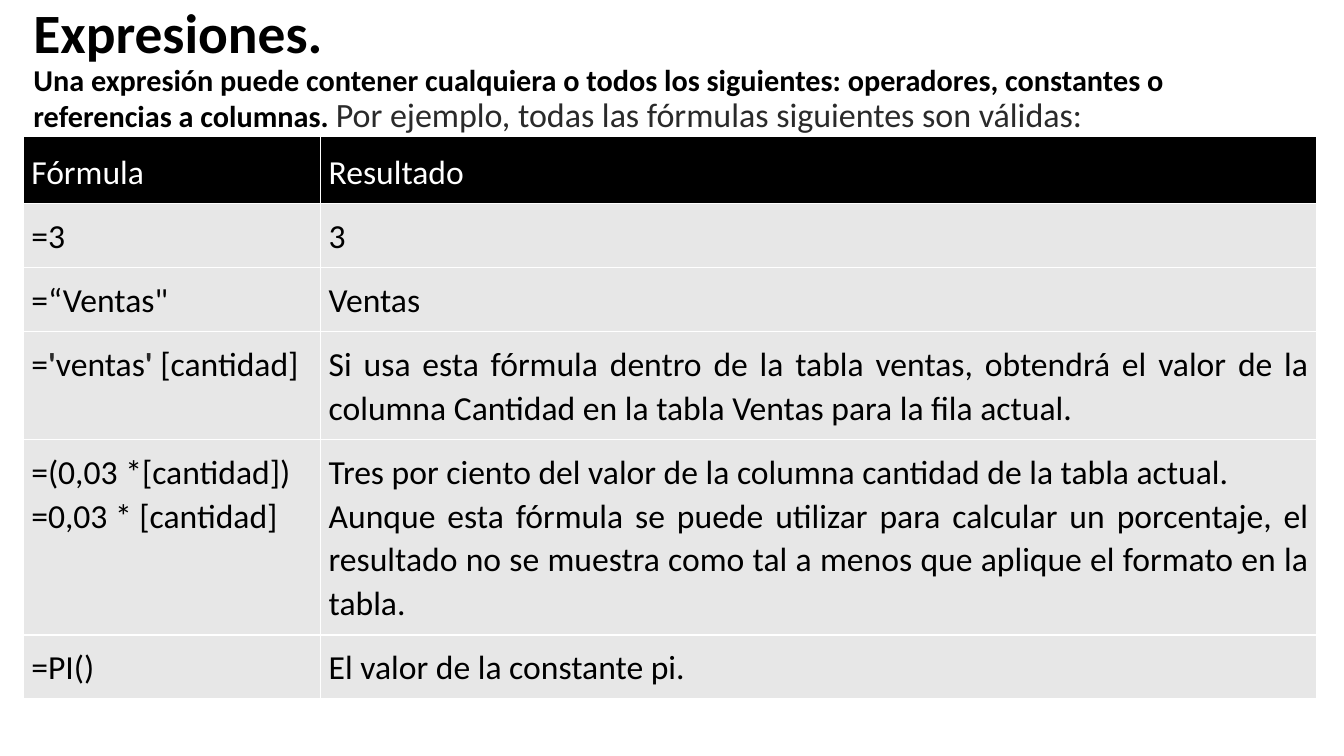
from dataclasses import dataclass

from pptx import Presentation
from pptx.dml.color import RGBColor as Color
from pptx.enum.text import MSO_ANCHOR as Anchor, PP_ALIGN as Align
from pptx.util import Inches, Pt


@dataclass(frozen=True)
class Theme:
    font: str = "Calibri"
    ink: str = "000000"
    soft_ink: str = "2A2A2A"
    paper: str = "FFFFFF"
    cell_fill: str = "E7E7E7"
    title_size: float = 39.6
    lead_size: float = 21.6
    example_size: float = 24.3
    table_size: float = 24


def apply(target, formats):
    for name, value in formats.items():
        setattr(target, name, value)


class SlideBuilder:
    """Holds the theme and the slide; lengths are percentages of the slide."""

    def __init__(self, presentation, theme):
        self.presentation = presentation
        self.theme = theme
        self.slide = presentation.slides.add_slide(presentation.slide_layouts[5])

    def across(self, share):
        return round(self.presentation.slide_width * share / 100)

    def down(self, share):
        return round(self.presentation.slide_height * share / 100)

    def frame(self, left, top, width, height):
        return self.across(left), self.down(top), self.across(width), self.down(height)

    def run(self, paragraph, text, size, color, bold=False):
        run = paragraph.add_run()
        run.text = text
        apply(run.font, {"name": self.theme.font, "size": Pt(size), "bold": bold})
        run.font.color.rgb = Color.from_string(color)

    def title(self, box, lines):
        shape = self.slide.shapes.title
        apply(shape, dict(zip(("left", "top", "width", "height"), self.frame(*box))))
        apply(shape.text_frame, {"word_wrap": True, "margin_top": 0,
                                 "vertical_anchor": Anchor.TOP})
        paragraph = shape.text_frame.paragraphs[0]
        apply(paragraph, {"alignment": Align.LEFT, "line_spacing": 0.9})
        for index, line in enumerate(lines):
            if index:
                paragraph.add_line_break()
            for run in line:
                self.run(paragraph, *run)

    def cell(self, cell, content, is_header):
        theme = self.theme
        apply(cell, {"margin_left": Inches(0.08), "margin_right": Inches(0.08),
                     "margin_top": Inches(0.1), "margin_bottom": Inches(0.1),
                     "vertical_anchor": Anchor.MIDDLE if is_header else Anchor.TOP})
        cell.fill.solid()
        cell.fill.fore_color.rgb = Color.from_string(
            theme.ink if is_header else theme.cell_fill)
        for index, runs in enumerate(content):
            frame = cell.text_frame
            paragraph = frame.add_paragraph() if index else frame.paragraphs[0]
            apply(paragraph, {"alignment": Align.JUSTIFY,
                              "line_spacing": 1.15 if is_header else 1.07})
            for text, bold in runs:
                color = theme.paper if is_header else theme.soft_ink if bold else theme.ink
                self.run(paragraph, text, theme.table_size, color, bold)

    def table(self, left, top, widths, heights, rows):
        box = self.frame(left, top, sum(widths), sum(heights))
        table = self.slide.shapes.add_table(len(rows), len(widths), *box).table
        table.horz_banding = False
        for column, width in zip(table.columns, widths):
            column.width = self.across(width)
        for row_index, (row, height) in enumerate(zip(table.rows, heights)):
            row.height = self.down(height)
            for cell, content in zip(row.cells, rows[row_index]):
                self.cell(cell, content, row_index == 0)


def plain(*lines):
    return [[(line, False)] for line in lines]


ROWS = [
    (plain("Fórmula"), plain("Resultado")),
    (plain("=3"), plain("3")),
    (plain('=“Ventas"'), plain("Ventas")),
    ([[("=", False), ("'", True), ("ventas", False), ("' ", True), ("[cantidad]", False)]],
     plain("Si usa esta fórmula dentro de la tabla ventas, obtendrá el valor de la "
           "columna Cantidad en la tabla Ventas para la fila actual.")),
    (plain("=(0,03 *[cantidad])", "=0,03 * [cantidad]"),
     plain("Tres por ciento del valor de la columna cantidad de la tabla actual.",
           "Aunque esta fórmula se puede utilizar para calcular un porcentaje, el "
           "resultado no se muestra como tal a menos que aplique el formato en la tabla.")),
    (plain("=PI()"), plain("El valor de la constante pi.")),
]


def main():
    presentation = Presentation()
    apply(presentation, {"slide_width": Inches(13.33), "slide_height": Inches(7.5)})
    theme = Theme()
    builder = SlideBuilder(presentation, theme)

    # Title with its explanation
    builder.title((1.73, 0.8, 96.25, 21.47), [
        [("Expresiones.", theme.title_size, theme.ink, True)],
        [("Una expresión puede contener cualquiera o todos los siguientes: operadores, "
          "constantes o referencias a columnas. ", theme.lead_size, theme.ink, True),
         ("Por ejemplo, todas las fórmulas siguientes son válidas:",
          theme.example_size, theme.soft_ink)],
    ])

    # Formulas and their results; rows grow to fit their text
    builder.table(1.73, 18, (22.13, 74.12), (6.13, 6, 6, 12, 18, 6), ROWS)

    presentation.save("out.pptx")


if __name__ == "__main__":
    main()
